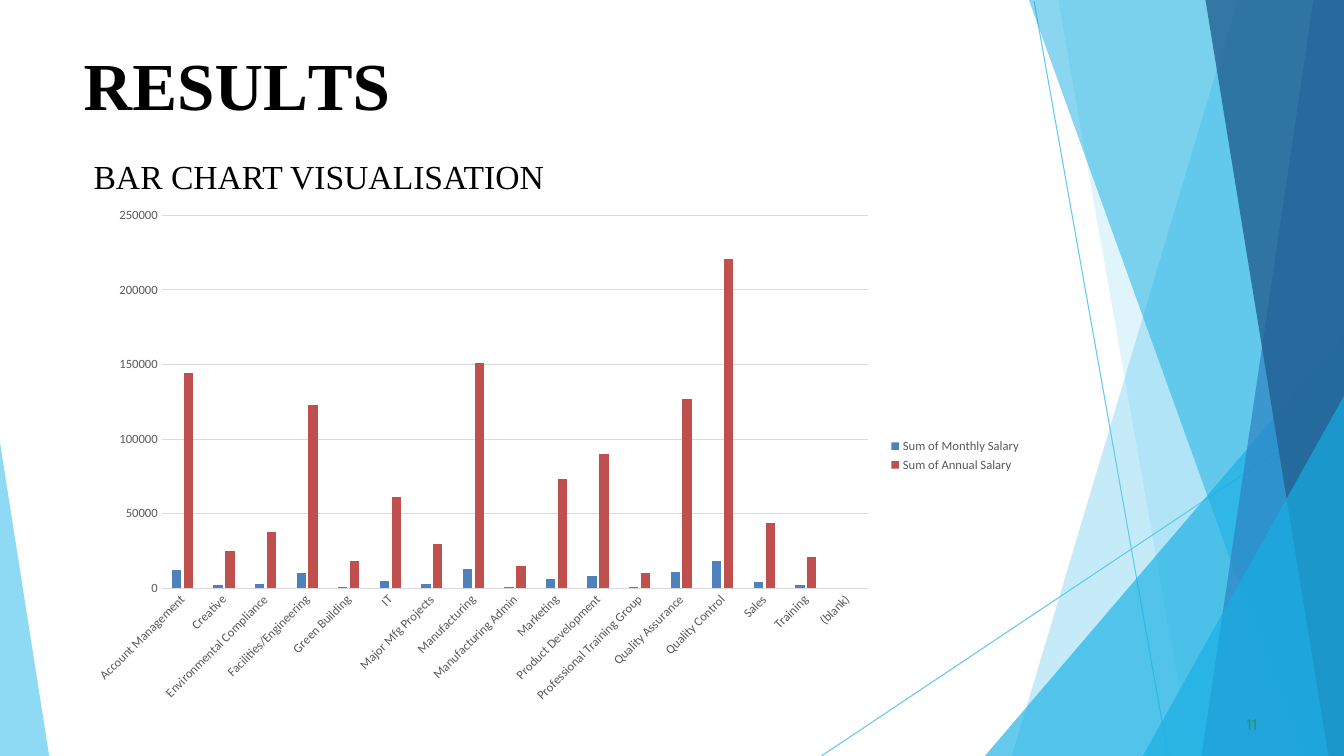
from dataclasses import dataclass

from lxml.etree import SubElement
from pptx import Presentation
from pptx.chart.data import CategoryChartData as Data
from pptx.dml.color import RGBColor as RGB
from pptx.enum.chart import XL_CHART_TYPE as Kind, XL_LEGEND_POSITION as Side, XL_TICK_MARK as Tick
from pptx.enum.text import MSO_ANCHOR as Anchor, MSO_AUTO_SIZE as Fit, PP_ALIGN as Align
from pptx.oxml.ns import qn
from pptx.util import Cm, Pt


@dataclass(frozen=True)
class Theme:
    black: str = "000000"
    gray: str = "595959"
    grid: str = "D9D9D9"
    green: str = "2D936B"
    sky: str = "5FCAEE"
    cyan: str = "17AFE3"
    blue: str = "2D83C3"
    navy: str = "226192"
    bars: tuple = ("4F81BD", "C0504D")
    serif: str = "Times New Roman"
    sans: str = "Calibri"
    page: str = "Cabin"
    title: int = 48
    head: int = 24
    foot: int = 11
    label: int = 9


THEME = Theme()
WIDE, HIGH = 33.87, 19.05

LINES = [
    [(26.06, 0.03), (29.44, HIGH)],
    [(WIDE, 10.26), (20.7, HIGH)],
]
CORNER = [(WIDE, HIGH)]
FACETS = [
    ([(WIDE, 0), (31.19, 0), (25.5, HIGH)] + CORNER, THEME.sky, 36),
    ([(WIDE, 0), (26.67, 0), (30.02, HIGH)] + CORNER, THEME.sky, 20),
    ([(WIDE, 8.46), (24.82, HIGH)] + CORNER, THEME.cyan, 66),
    ([(WIDE, 0), (25.93, 0), (32.79, HIGH)] + CORNER, THEME.cyan, 50),
    ([(WIDE, 0), (33.1, 0), (30.28, HIGH)] + CORNER, THEME.blue, 70),
    ([(WIDE, 0), (30.38, 0), (33.48, HIGH)] + CORNER, THEME.navy, 80),
    ([(WIDE, 9.98), (28.8, HIGH)] + CORNER, THEME.cyan, 66),
    ([(0, 11.15), (0, HIGH), (1.24, HIGH)], THEME.sky, 70),
]
TITLE = [("R", 0), ("E", -0.4), ("S", 0.1), ("U", -0.3), ("L", -4), ("TS", 0)]
SERIES = ("Sum of Monthly Salary", "Sum of Annual Salary")
PAY = [
    ("Account Management", 12000, 144000),
    ("Creative", 2000, 25000),
    ("Environmental Compliance", 3000, 38000),
    ("Facilities/Engineering", 10000, 123000),
    ("Green Building", 1000, 18000),
    ("IT", 5000, 61000),
    ("Major Mfg Projects", 3000, 30000),
    ("Manufacturing", 13000, 151000),
    ("Manufacturing Admin", 1000, 15000),
    ("Marketing", 6000, 73000),
    ("Product Development", 8000, 90000),
    ("Professional Training Group", 1000, 10000),
    ("Quality Assurance", 11000, 127000),
    ("Quality Control", 18000, 221000),
    ("Sales", 4000, 44000),
    ("Training", 2000, 21000),
    ("(blank)", None, None),
]


def paint(fill, color):
    fill.solid()
    fill.fore_color.rgb = RGB.from_string(color)


def style(font, name, size, color, bold=False):
    font.name, font.size, font.bold = name, Pt(size), bold
    font.color.rgb = RGB.from_string(color)


def add_line(slide, start, end):
    line = slide.shapes.add_connector(1, *map(Cm, start + end))
    line.line.color.rgb = RGB.from_string(THEME.sky)
    line.line.width = Pt(0.75)
    SubElement(line._element.spPr, qn("a:effectLst"))


def add_facet(slide, points, color, alpha):
    first, *rest = [(Cm(x), Cm(y)) for x, y in points]
    pen = slide.shapes.build_freeform(*first, scale=1.0)
    pen.add_line_segments(rest, close=True)
    facet = pen.convert_to_shape()
    facet.shadow.inherit = False
    paint(facet.fill, color)
    facet.line.fill.background()
    tint = facet._element.spPr.find(qn("a:solidFill"))[0]
    SubElement(tint, qn("a:alpha")).set("val", str(alpha * 1000))


def trim(frame):
    frame.margin_left = frame.margin_right = frame.margin_bottom = 0
    frame.margin_top = Cm(0.03)


def add_title(slide):
    title = slide.shapes.title
    title.left, title.top, title.width, title.height = map(Cm, (2.11, 1.07, 8.69, 2.08))
    frame = title.text_frame
    trim(frame)
    frame.vertical_anchor = Anchor.TOP
    frame.auto_size = Fit.SHAPE_TO_FIT_TEXT
    para = frame.paragraphs[0]
    para.alignment = Align.LEFT
    para.space_before = Pt(1.1)
    para.line_spacing = 1.0
    style(para.font, THEME.serif, THEME.title, THEME.black, True)
    for text, gap in TITLE:
        run = para.add_run()
        run.text = text
        run.font._element.set("spc", str(round(gap * 100)))


def add_text(slide, box, text, *look):
    frame = slide.shapes.add_textbox(*map(Cm, box)).text_frame
    frame.word_wrap = True
    frame.auto_size = Fit.SHAPE_TO_FIT_TEXT
    para = frame.paragraphs[0]
    para.text = text
    style(para.font, *look)
    return frame


def add_page(slide):
    look = THEME.page, THEME.foot, THEME.green
    frame = add_text(slide, (31.32, 17.98, 0.64, 0.53), "11", *look)
    trim(frame)
    frame.margin_left = Cm(0.1)
    frame.paragraphs[0].space_before = Pt(0.6)


def add_bars(slide):
    names, *sums = zip(*PAY)
    data = Data()
    data.categories = names
    for name, vals in zip(SERIES, sums):
        data.add_series(name, vals)
    box = map(Cm, (1.96, 4.98, 24.03, 13.0))
    chart = slide.shapes.add_chart(Kind.COLUMN_CLUSTERED, *box, data).chart
    look = THEME.sans, THEME.label, THEME.gray
    style(chart.font, *look)
    chart.has_title = False
    chart.has_legend = True
    chart.legend.position = Side.RIGHT
    chart.legend.include_in_layout = False
    style(chart.legend.font, *look)
    plot = chart.plots[0]
    plot.vary_by_categories = False
    plot.gap_width, plot.overlap = 219, -27
    for bar, color in zip(plot.series, THEME.bars):
        paint(bar.format.fill, color)
    cat, val = chart.category_axis, chart.value_axis
    for axis in (cat, val):
        axis.major_tick_mark = axis.minor_tick_mark = Tick.NONE
        style(axis.tick_labels.font, *look)
    val.format.line.fill.background()
    val.maximum_scale, val.minimum_scale, val.major_unit = 250000, 0, 50000
    for line in (cat.format.line, val.major_gridlines.format.line):
        line.color.rgb = RGB.from_string(THEME.grid)
        line.width = Pt(0.75)
    body = cat._element.find(qn("c:txPr")).find(qn("a:bodyPr"))
    body.set("rot", "-2700000")


def main():
    deck = Presentation()
    deck.slide_width, deck.slide_height = Cm(WIDE), Cm(HIGH)
    slide = deck.slides.add_slide(deck.slide_layouts[5])
    for ends in LINES:
        add_line(slide, *ends)
    for facet in FACETS:
        add_facet(slide, *facet)
    add_title(slide)
    add_page(slide)
    look = THEME.serif, THEME.head, THEME.black
    add_text(slide, (2.11, 3.81, 23.88, 1.27), "BAR CHART VISUALISATION", *look)
    add_bars(slide)
    deck.save("out.pptx")


if __name__ == "__main__":
    main()
